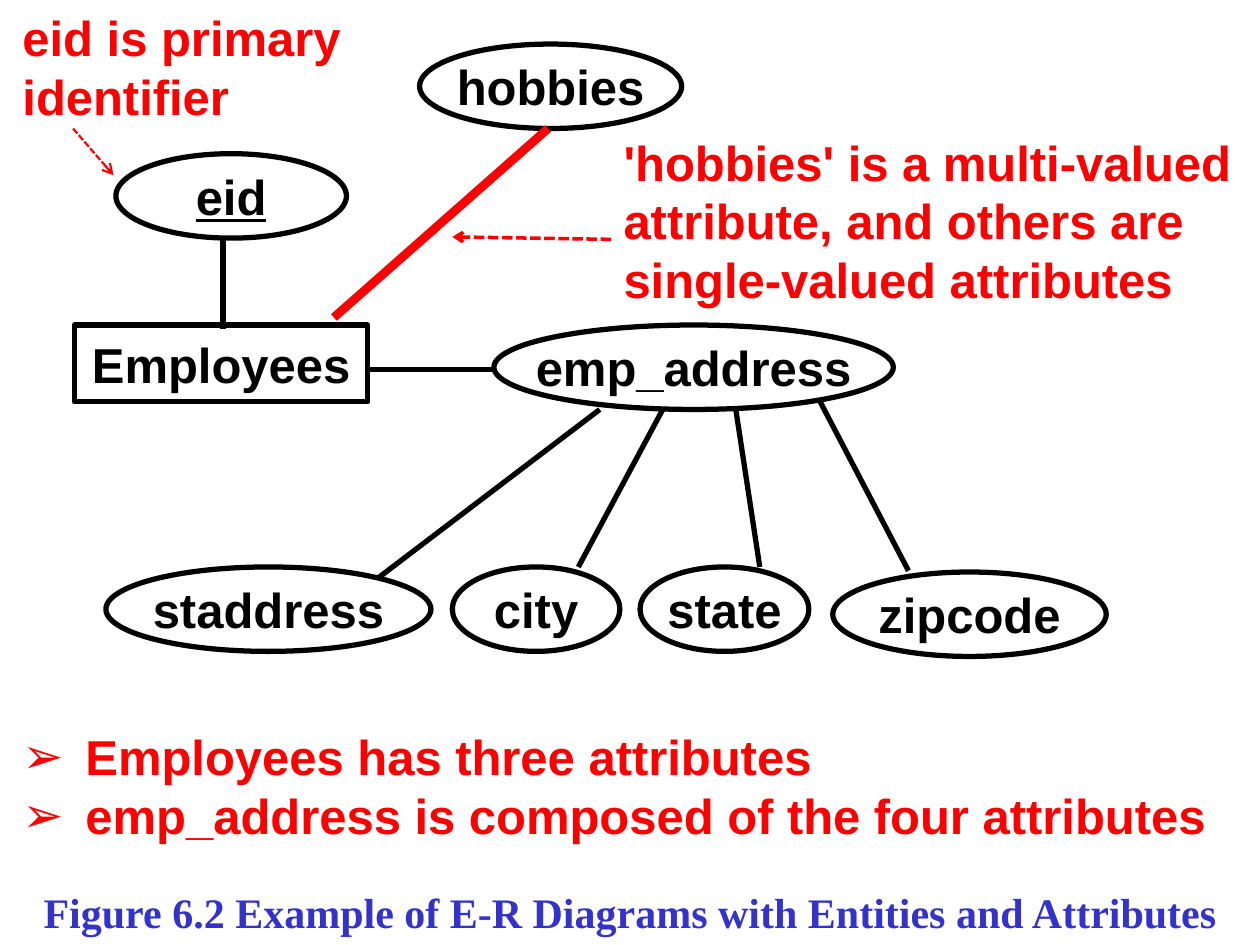
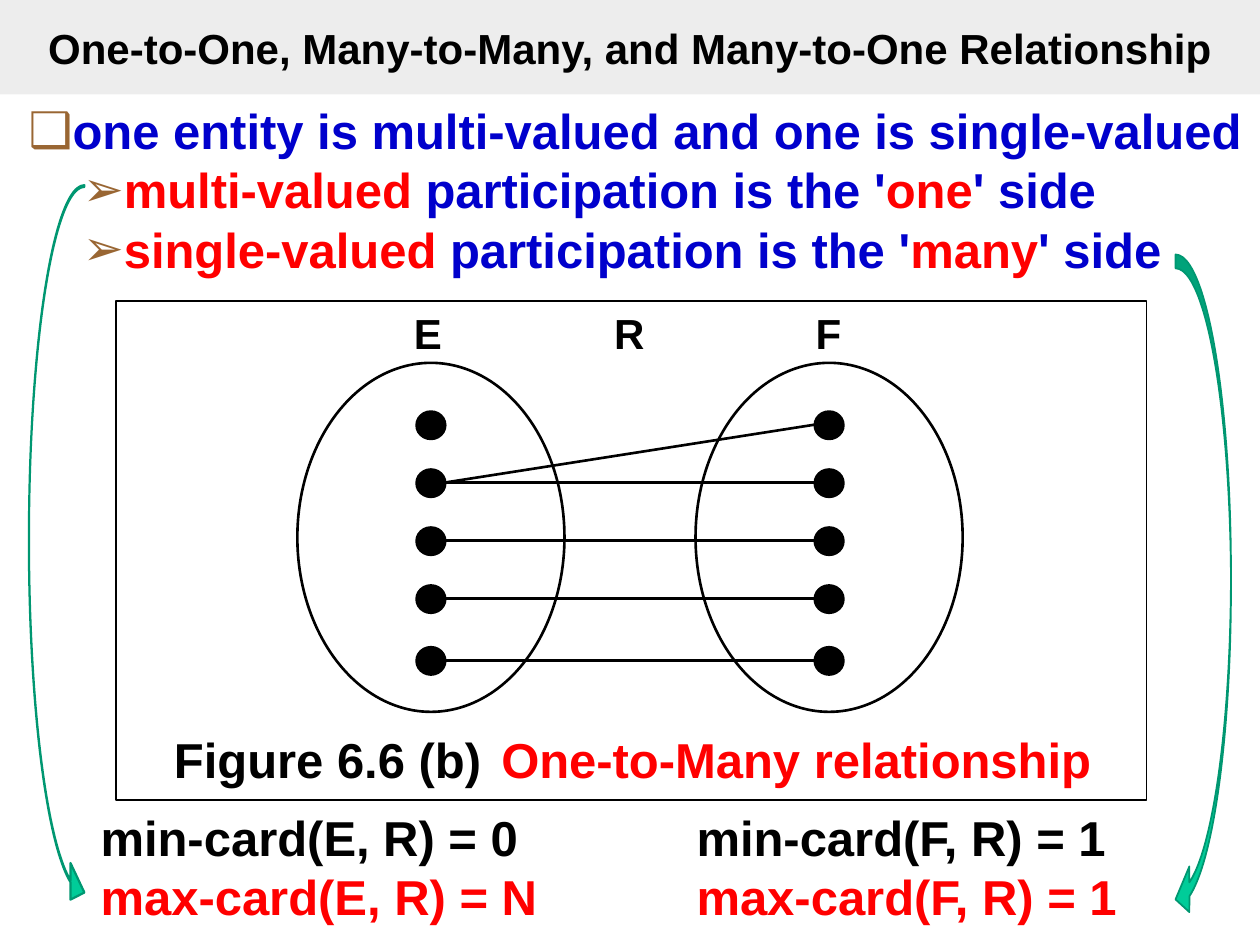
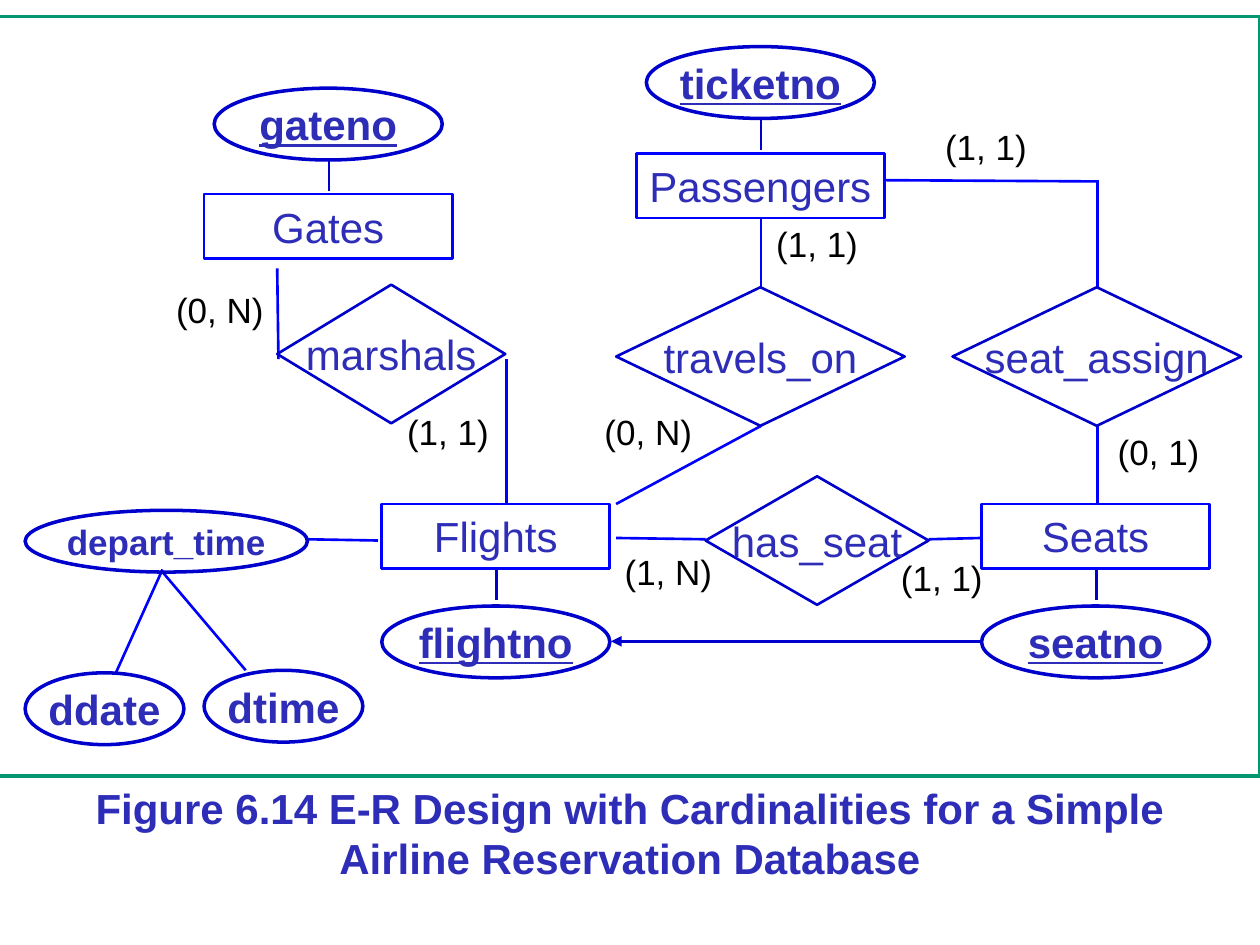
"""Build three slides on entity-relationship diagrams."""
from lxml.etree import SubElement
from pptx import Presentation
from pptx.dml.color import RGBColor
from pptx.enum.dml import MSO_LINE
from pptx.enum.shapes import MSO_CONNECTOR, MSO_SHAPE
from pptx.enum.text import MSO_ANCHOR, PP_ALIGN
from pptx.oxml.ns import qn
from pptx.util import Cm, Pt

BLACK, WHITE, RED, GREY = "000000", "FFFFFF", "FF0000", "DDDDDD"
CAPTION_BLUE, BODY_BLUE, LABEL_BLUE = "3333CC", "0000CC", "2D2DB7"
EDGE_BLUE, OUTLINE_BLUE = "0000FF", "0000CC"
GREEN, DARK_GREEN, BROWN = "00CC99", "009771", "996633"
LEFT, CENTER, JUSTIFY = PP_ALIGN.LEFT, PP_ALIGN.CENTER, PP_ALIGN.JUSTIFY
OVAL, BOX, DIAMOND = MSO_SHAPE.OVAL, MSO_SHAPE.RECTANGLE, MSO_SHAPE.DIAMOND

EMPLOYEE_ATTRIBUTES = [
    ("eid", 0.92, 1.22, 1.83, 0.67),
    ("emp_address", 3.92, 2.58, 3.17, 0.67),
    ("hobbies", 3.33, 0.35, 2.08, 0.67),
    ("staddress", 0.84, 4.5, 2.58, 0.67),
    ("city", 3.59, 4.5, 1.33, 0.67),
    ("state", 5.08, 4.5, 1.34, 0.67),
    ("zipcode", 6.61, 4.54, 2.17, 0.67),
]
EMPLOYEE_EDGES = [
    (1.77, 1.9, 1.77, 2.61),
    (3.93, 2.93, 2.93, 2.93),
    (4.76, 3.25, 3.01, 4.58),
    (5.26, 3.25, 4.59, 4.5),
    (5.84, 3.25, 6.03, 4.5),
    (6.51, 3.19, 7.21, 4.53),
]
EMPLOYEE_FACTS = [
    "Employees has three attributes",
    "emp_address is composed of the four attributes",
]
EMPLOYEE_NOTES = [
    ("'hobbies' is a multi-valued attribute, and others are single-valued attributes",
     (4.85, 1, 5.11, 1.5), (4.85, 1.9, 3.59, 1.88), 2),
    ("eid is primary identifier",
     (0.08, 0.01, 2.92, 1.03), (0.58, 1.02, 0.9, 1.39), 1.25),
]

RULE = "one entity is multi-valued and one is single-valued"
SIDES = [("multi-valued", "one"), ("single-valued", "many")]
SET_CENTERS = {"E": 3.42, "F": 6.58}
HEADINGS = {"E": 3.4, "R": 5, "F": 6.58}
ROWS = [3.37, 3.83, 4.29, 4.75, 5.24]
PAIRS = [(1, 0), (1, 1), (2, 2), (3, 3), (4, 4)]
CARDS = [("E", 0, "N", 0.7), ("F", 1, 1, 5.43)]
CURVES = [
    (MSO_SHAPE.CURVED_RIGHT_ARROW, (0.23, 1.47, 0.44, 5.76), (0.031, 0.662, 0.25), 1.25),
    (MSO_SHAPE.CURVED_LEFT_ARROW, (9.33, 2.02, 0.44, 5.3), (0.25, 0.824, 0.25), 1),
]

ENTITIES = [
    ("Passengers", 5.05, 1.22, 1.97),
    ("Gates", 1.62, 1.54, 1.97),
    ("Flights", 3.03, 4, 1.81),
    ("Seats", 7.79, 4, 1.81),
]
KEYS = [
    ("ticketno", 5.13, 0.37),
    ("gateno", 1.7, 0.7),
    ("flightno", 3.03, 4.81),
    ("seatno", 7.79, 4.81),
]
TIMES = [
    ("depart_time", 0.2, 4.05, 2.24, 0.49, 20),
    ("ddate", 0.2, 5.34, 1.26, 0.57, 24),
    ("dtime", 1.62, 5.32, 1.26, 0.57, 24),
]
RELATIONSHIPS = [
    ("travels_on", 4.89, 2.28, 2.29, 1.1),
    ("marshals", 2.2, 2.26, 1.81, 1.1),
    ("seat_assign", 7.56, 2.28, 2.29, 1.1),
    ("has_seat", 5.6, 3.78, 1.77, 1.02),
]
KEY_EDGES = [(6.04, 0.95), (2.61, 1.28), (3.94, 4.52), (8.7, 4.52)]
FLIGHT_EDGES = [
    (6.04, 1.72, 6.04, 2.28),
    (4.89, 4, 6.04, 3.38),
    (2.2, 2.13, 2.21, 2.85),
    (4.02, 4, 4.02, 2.85),
    (8.71, 1.43, 8.71, 2.28),
    (8.71, 4, 8.71, 3.38),
    (8.71, 1.44, 7.02, 1.43),
    (4.89, 4.27, 5.6, 4.28),
    (7.37, 4.28, 7.79, 4.27),
    (2.44, 4.28, 3, 4.29),
    (1.29, 4.52, 0.92, 5.34),
    (1.29, 4.54, 1.95, 5.32),
]
CARDINALITIES = [
    ("(0, N)", 1.29, 2.24),
    ("(1, 1)", 3.1, 3.21),
    ("(1, 1)", 7.37, 0.95),
    ("(1, 1)", 7.02, 4.37),
    ("(1, 1)", 6.03, 1.72),
    ("(0, N)", 4.69, 3.21),
    ("(1, N)", 4.85, 4.32),
    ("(0, 1)", 8.74, 3.37),
]


def length(inches):
    return Cm(inches * 2.54)


def color(value):
    return RGBColor.from_string(value)


def write(frame, text, size=28, ink=BLACK, font="Arial", bold=True, underline=False,
          align=LEFT, bullet=None, bullet_ink=None, margin=0, hanging=0, before=0):
    first = frame.paragraphs[0]
    paragraph = frame.add_paragraph() if first.runs else first
    paragraph.alignment = align
    paragraph.space_before = Pt(before)
    for words, run_ink in [(text, ink)] if isinstance(text, str) else text:
        run = paragraph.add_run()
        run.text = words
        run.font.name, run.font.size = font, Pt(size)
        run.font.bold, run.font.underline = bold, underline
        run.font.color.rgb = color(run_ink)
    if bullet:
        properties = paragraph._p.get_or_add_pPr()
        properties.set("marL", str(length(margin)))
        properties.set("indent", str(-length(hanging)))
        mark = SubElement(properties, qn("a:buClr"))
        SubElement(mark, qn("a:srgbClr"), val=bullet_ink or ink)
        SubElement(properties, qn("a:buFont"), typeface="Arial")
        SubElement(properties, qn("a:buChar"), char=bullet)


def add_node(slide, kind, place, text=None, fill=None, line=None, width=1.5,
             anchor=MSO_ANCHOR.MIDDLE, wrap=False, **style):
    node = slide.shapes.add_shape(kind, *map(length, place))
    node.shadow.inherit = False
    if fill:
        node.fill.solid()
        node.fill.fore_color.rgb = color(fill)
    else:
        node.fill.background()
    if line:
        node.line.color.rgb = color(line)
        node.line.width = Pt(width)
    else:
        node.line.fill.background()
    if text:
        node.text_frame.word_wrap = wrap
        node.text_frame.vertical_anchor = anchor
        write(node.text_frame, text, **{"align": CENTER, **style})
    return node


def add_text(slide, place, text=None, **style):
    frame = slide.shapes.add_textbox(*map(length, place)).text_frame
    frame.word_wrap = True
    if text:
        write(frame, text, **style)
    return frame


def add_edge(slide, ends, line=BLACK, width=1.5, head=None, dashed=False):
    edge = slide.shapes.add_connector(MSO_CONNECTOR.STRAIGHT, *map(length, ends))
    edge.line.color.rgb = color(line)
    edge.line.width = Pt(width)
    if dashed:
        edge.line.dash_style = MSO_LINE.SQUARE_DOT
    if head:
        SubElement(edge.line._get_or_add_ln(), qn("a:tailEnd"), type=head)
    SubElement(edge._element.spPr, qn("a:effectLst"))


def build_employees(slide):
    add_node(slide, BOX, (0.59, 2.58, 2.33, 0.61), "Employees", line=BLACK, width=3)
    for name, *place in EMPLOYEE_ATTRIBUTES:
        add_node(slide, OVAL, place, name, line=BLACK, width=3, underline=name == "eid")
    for ends in EMPLOYEE_EDGES:
        add_edge(slide, ends, width=3)
    add_edge(slide, (4.35, 1.02, 2.65, 2.52), RED, 5)
    add_text(slide, (0.04, 6.99, 9.92, 0.5),
             "Figure 6.2 Example of E-R Diagrams with Entities and Attributes",
             size=24, ink=CAPTION_BLUE, font="Times New Roman", align=CENTER)
    facts = add_text(slide, (0.08, 5.72, 9.88, 1.04))
    for fact in EMPLOYEE_FACTS:
        write(facts, fact, ink=RED, bullet="➢", margin=0.5, hanging=0.5)
    for note, place, ends, width in EMPLOYEE_NOTES:
        add_text(slide, place, note, ink=RED)
        add_edge(slide, ends, RED, width, "arrow", True)


def build_relationship(slide):
    band = add_node(slide, BOX, (0, 0, 10, 0.75),
                    "One-to-One, Many-to-Many, and Many-to-One Relationship",
                    fill=GREY, size=24)
    tint = band._element.spPr.find(qn("a:solidFill"))[0]
    SubElement(tint, qn("a:alpha"), val="50000")
    body = add_text(slide, (0, 0.75, 10, 1.52))
    bullets = {"bullet_ink": BROWN, "hanging": 0.25, "before": 0.2}
    write(body, RULE, ink=BODY_BLUE, bullet="❑", margin=0.38, **bullets)
    for valued, side in SIDES:
        runs = [(valued, RED), (" participation is the '", BODY_BLUE),
                (side, RED), ("' side", BODY_BLUE)]
        write(body, runs, bullet="➢", margin=0.81, **bullets)

    for center in SET_CENTERS.values():
        add_node(slide, OVAL, (center - 1.06, 2.88, 2.12, 2.77), line=BLACK)
        for row in ROWS:
            add_node(slide, OVAL, (center - 0.11, row - 0.1, 0.22, 0.21),
                     fill=BLACK, line=BLACK, width=2)
    for start, end in PAIRS:
        add_edge(slide, (SET_CENTERS["E"] + 0.11, ROWS[start],
                         SET_CENTERS["F"] - 0.11, ROWS[end]))
    for name, center in HEADINGS.items():
        add_text(slide, (center - 0.33, 2.39, 0.65, 0.5), name, size=24, align=CENTER)

    add_text(slide, (1.01, 5.74, 3.18, 0.57), "Figure 6.6 (b)", align=CENTER)
    add_text(slide, (3.88, 5.74, 5.05, 0.57), "One-to-Many relationship", ink=RED)
    for name, least, most, left in CARDS:
        card = add_text(slide, (left, 6.36, 3.84, 1.04),
                        f"min-card({name}, R) = {least}", align=JUSTIFY)
        write(card, f"max-card({name}, R) = {most}", ink=RED, align=JUSTIFY)
    add_node(slide, BOX, (0.92, 2.39, 8.18, 3.96), line=BLACK, width=1)
    for kind, place, bends, width in CURVES:
        curve = add_node(slide, kind, place, fill=GREEN, line=DARK_GREEN, width=width)
        for index, bend in enumerate(bends):
            curve.adjustments[index] = bend


def build_flights(slide):
    add_text(slide, (0.5, 6.16, 9, 0.91),
             "Figure 6.14 E-R Design with Cardinalities for a Simple "
             "Airline Reservation Database", size=24, ink=LABEL_BLUE, align=CENTER)
    for ends in FLIGHT_EDGES:
        add_edge(slide, ends, EDGE_BLUE)
    for x, top in KEY_EDGES:
        add_edge(slide, (x, top, x, top + 0.24), OUTLINE_BLUE)
    plain = {"size": 24, "ink": LABEL_BLUE, "bold": False}
    for name, left, top, width in ENTITIES:
        add_node(slide, BOX, (left, top, width, 0.51), name, line=EDGE_BLUE, **plain)
    for name, *place in RELATIONSHIPS:
        add_node(slide, DIAMOND, place, name, fill=WHITE, line=OUTLINE_BLUE, **plain)
    for name, left, top in KEYS:
        add_node(slide, OVAL, (left, top, 1.81, 0.57), name, line=OUTLINE_BLUE, width=2,
                 size=24, ink=LABEL_BLUE, underline=True)
    for name, *place, size in TIMES:
        add_node(slide, OVAL, place, name, line=OUTLINE_BLUE, width=2,
                 size=size, ink=LABEL_BLUE)
    for bounds, left, top in CARDINALITIES:
        add_text(slide, (left, top, 0.91, 0.44), bounds, size=20, bold=False, align=CENTER)
    add_edge(slide, (7.79, 5.09, 4.85, 5.09), OUTLINE_BLUE, head="triangle")
    add_node(slide, BOX, (-0.02, 0.13, 10.02, 6.03), line=DARK_GREEN, width=2)


deck = Presentation()
deck.slide_width, deck.slide_height = length(10), length(7.5)
for build in (build_employees, build_relationship, build_flights):
    build(deck.slides.add_slide(deck.slide_layouts[6]))
deck.save("out.pptx")
